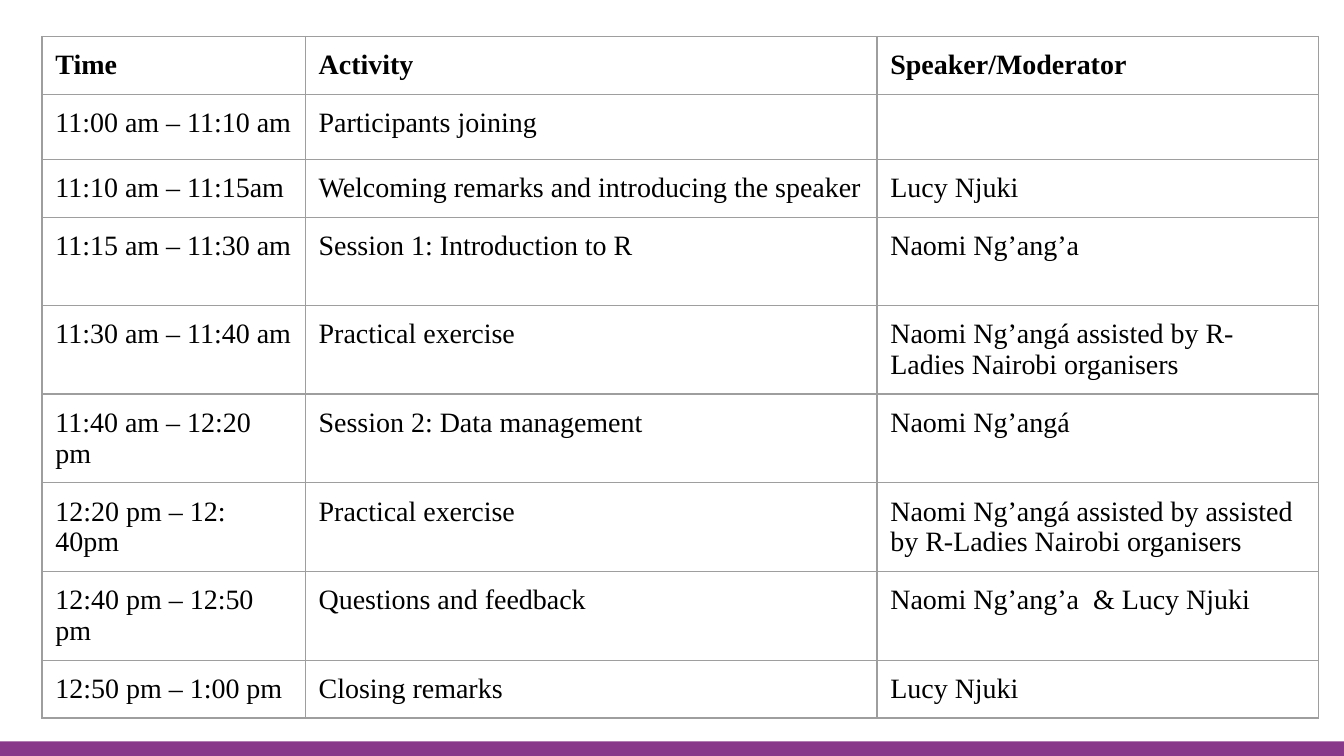
from dataclasses import dataclass

from lxml.etree import SubElement
from pptx import Presentation
from pptx.dml.color import RGBColor
from pptx.enum.shapes import MSO_SHAPE
from pptx.oxml.ns import qn
from pptx.util import Pt


@dataclass(frozen=True)
class Theme:
    font: str = "Times New Roman"
    size: float = 15
    ink: str = "000000"
    grid: str = "9E9E9E"
    accent: str = "88398A"
    grid_width: float = 0.75
    margin: float = 7.2


class AgendaSlide:
    """Hold the theme and the current slide, and draw its elements."""

    def __init__(self, deck, theme):
        self.theme = theme
        self.page = deck.slides.add_slide(deck.slide_layouts[6])

    def bar(self, left, top, width, height):
        box = self.page.shapes.add_shape(
            MSO_SHAPE.RECTANGLE, Pt(left), Pt(top), Pt(width), Pt(height))
        box.shadow.inherit = False
        box.fill.solid()
        box.fill.fore_color.rgb = RGBColor.from_string(self.theme.accent)
        box.line.fill.background()

    def table(self, left, top, widths, heights, rows):
        frame = self.page.shapes.add_table(
            len(rows), len(widths), Pt(left), Pt(top),
            Pt(sum(widths)), Pt(sum(heights)))
        table = frame.table
        table.horz_banding = False
        for column, width in zip(table.columns, widths):
            column.width = Pt(width)
        for index, (row, height) in enumerate(zip(table.rows, heights)):
            row.height = Pt(height)
            for cell, text in zip(row.cells, rows[index]):
                self.cell(cell, text, bold=index == 0)

    def cell(self, cell, text, bold):
        for side in ("left", "top", "right", "bottom"):
            setattr(cell, f"margin_{side}", Pt(self.theme.margin))
        span = cell.text_frame.paragraphs[0].add_run()
        span.text = text
        formats = {"name": self.theme.font, "size": Pt(self.theme.size), "bold": bold}
        for name, value in formats.items():
            setattr(span.font, name, value)
        span.font.color.rgb = RGBColor.from_string(self.theme.ink)
        self.borders(cell)
        cell.fill.background()

    def borders(self, cell):
        properties = cell._tc.get_or_add_tcPr()
        for side in ("lnL", "lnR", "lnT", "lnB"):
            line = SubElement(properties, qn(f"a:{side}"), w=str(Pt(self.theme.grid_width)))
            fill = SubElement(line, qn("a:solidFill"))
            SubElement(fill, qn("a:srgbClr"), val=self.theme.grid)


AGENDA = [
    ("Time", "Activity", "Speaker/Moderator"),
    ("11:00 am – 11:10 am", "Participants joining", ""),
    ("11:10 am – 11:15am", "Welcoming remarks and introducing the speaker", "Lucy Njuki"),
    ("11:15 am – 11:30 am", "Session 1: Introduction to R", "Naomi Ng’ang’a"),
    ("11:30 am – 11:40 am", "Practical exercise",
     "Naomi Ng’angá assisted by R-Ladies Nairobi organisers"),
    ("11:40 am – 12:20 pm", "Session 2: Data management", "Naomi Ng’angá"),
    ("12:20 pm – 12: 40pm", "Practical exercise",
     "Naomi Ng’angá assisted by assisted by R-Ladies Nairobi organisers"),
    ("12:40 pm – 12:50 pm", "Questions and feedback", "Naomi Ng’ang’a  & Lucy Njuki"),
    ("12:50 pm – 1:00 pm", "Closing remarks", "Lucy Njuki"),
]
SHORT, MEDIUM, TALL = 30.8, 34.8, 47.2
HEIGHTS = [SHORT, MEDIUM, SHORT] + [TALL] * 5 + [SHORT]
WIDTHS = [141, 306.3, 236.7]


def main():
    deck = Presentation()
    deck.slide_width, deck.slide_height = Pt(720), Pt(405)
    slide = AgendaSlide(deck, Theme())
    slide.bar(0, 397.2, 720, 7.8)
    slide.table(22.5, 19.6, WIDTHS, HEIGHTS, AGENDA)
    deck.save("out.pptx")


if __name__ == "__main__":
    main()
